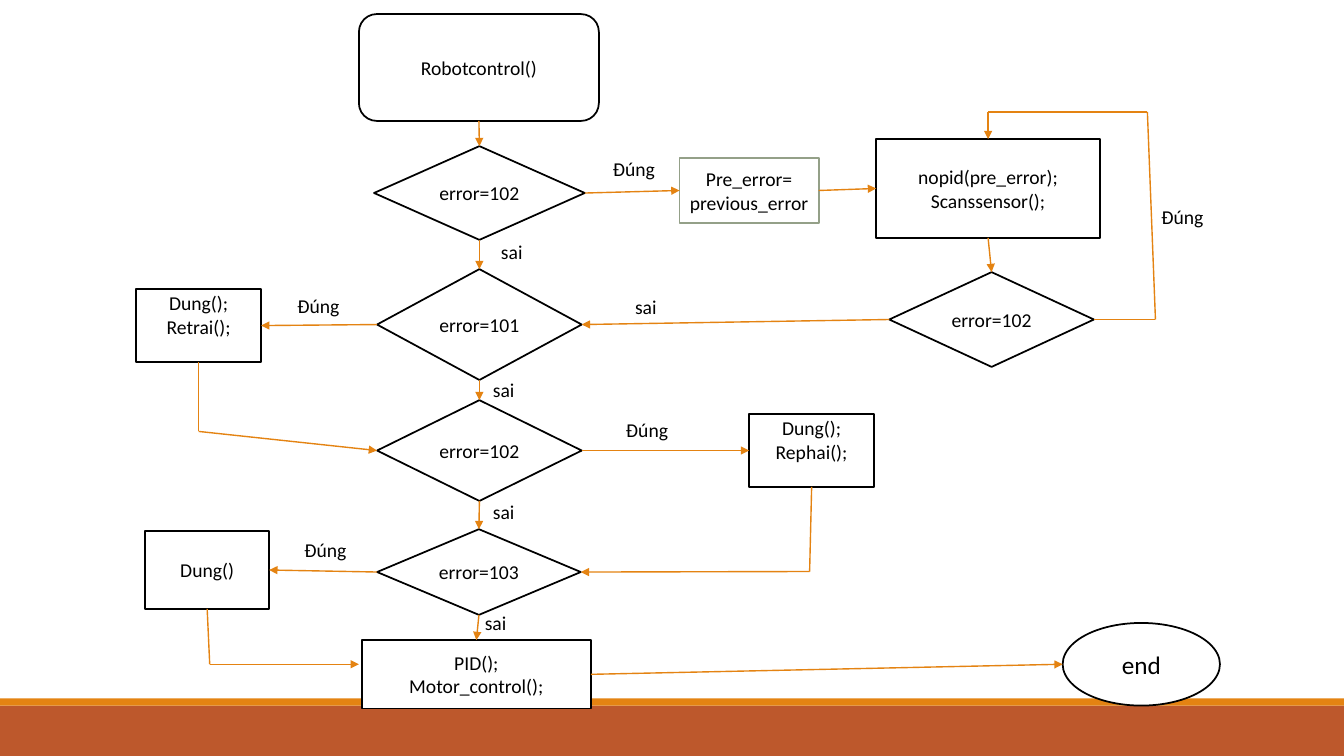
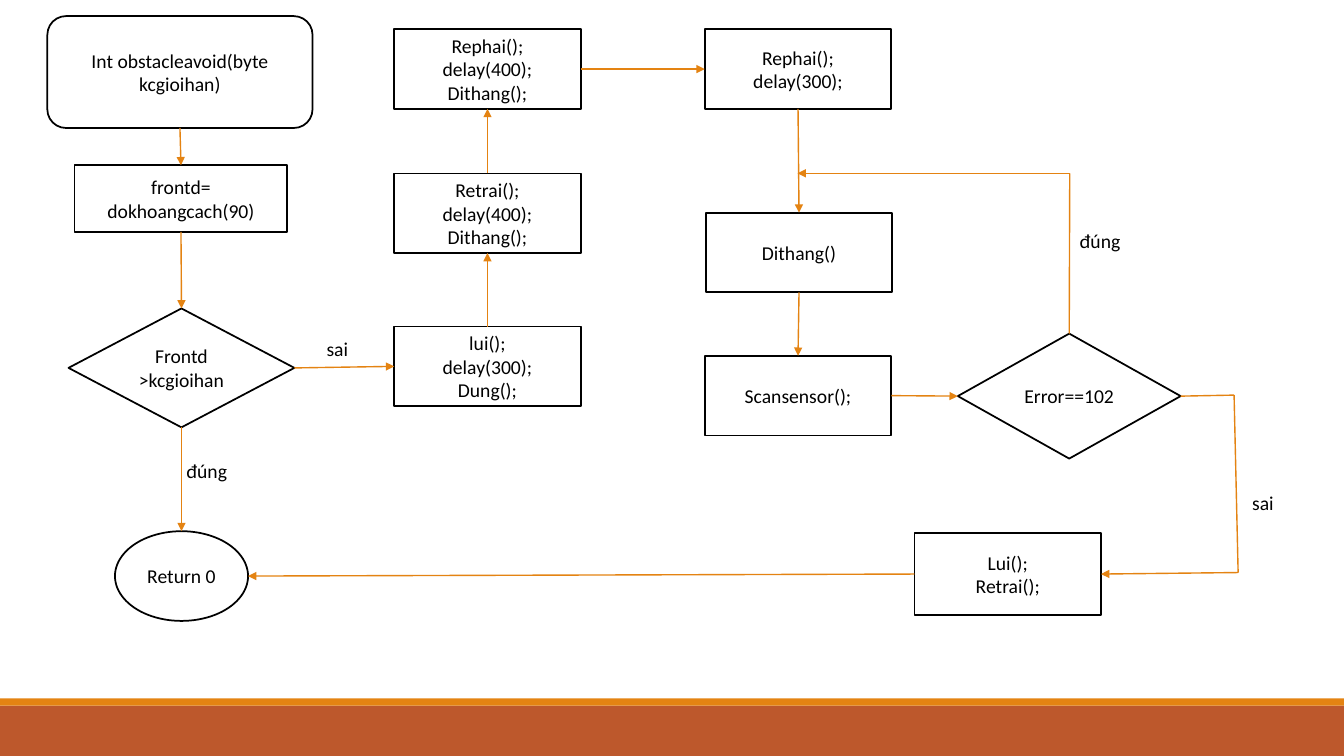
from dataclasses import dataclass
from enum import IntEnum
from itertools import pairwise
from typing import NamedTuple

from lxml.etree import SubElement
from pptx import Presentation
from pptx.dml.color import RGBColor
from pptx.enum.shapes import MSO_CONNECTOR, MSO_SHAPE as Kind
from pptx.enum.text import MSO_ANCHOR as Anchor, MSO_AUTO_SIZE, PP_ALIGN
from pptx.oxml.ns import qn
from pptx.util import Inches, Pt

SLIDE_WIDTH = Inches(13.33)
SLIDE_HEIGHT = Inches(7.5)
ROWS = 75
CELL = SLIDE_HEIGHT / ROWS
COLUMNS = SLIDE_WIDTH / CELL

BLACK = RGBColor(0x00, 0x00, 0x00)
WHITE = RGBColor(0xFF, 0xFF, 0xFF)
ORANGE = RGBColor(0xE4, 0x83, 0x12)
RUST = RGBColor(0xBD, 0x58, 0x2C)
SAGE = RGBColor(0x94, 0xA0, 0x88)
FONT = "Calibri"
TEXT_SIZE = 14


class Side(IntEnum):
    TOP = 0
    LEFT = 1
    BOTTOM = 2
    RIGHT = 3


class Point(NamedTuple):
    column: float
    row: float


class Port(NamedTuple):
    node: str
    side: Side


class Label(NamedTuple):
    text: str
    column: float
    row: float
    columns: float = 7.9


class Band(NamedTuple):
    row: float
    rows: float
    color: RGBColor


@dataclass(frozen=True)
class Node:
    kind: Kind
    text: str
    column: float
    row: float
    columns: float = 18.5
    rows: float = 7.9
    outline: RGBColor = BLACK
    size: int = TEXT_SIZE
    anchor: Anchor = Anchor.MIDDLE

    def site(self, side: Side) -> Point:
        middle = self.column + self.columns / 2
        center = self.row + self.rows / 2
        return {
            Side.TOP: Point(middle, self.row),
            Side.LEFT: Point(self.column, center),
            Side.BOTTOM: Point(middle, self.row + self.rows),
            Side.RIGHT: Point(self.column + self.columns, center),
        }[side]


Route = tuple[Port | Point, ...]


@dataclass(frozen=True)
class Flowchart:
    nodes: dict[str, Node]
    routes: tuple[Route, ...]
    labels: tuple[Label, ...]


BANDS = (Band(70, 5, RUST), Band(69.3, 0.7, ORANGE))

ROBOT_CONTROL = Flowchart(
    nodes={
        "start": Node(Kind.ROUNDED_RECTANGLE, "Robotcontrol()", 35.6, 1.4, 23.8, 10.6),
        "lost": Node(Kind.DIAMOND, "error=102", 37.1, 14.5, 20.9, 9.3),
        "previous": Node(Kind.RECTANGLE, "Pre_error=\nprevious_error", 67.4, 15.7, 13.8, 6.4, SAGE),
        "scan": Node(Kind.RECTANGLE, "nopid(pre_error);\nScanssensor();", 86.9, 13.8, 22.2, 9.8),
        "still lost": Node(Kind.DIAMOND, "error=102", 88.2, 27, 20.3, 9.4),
        "left": Node(Kind.DIAMOND, "error=101", 37.4, 26.7, 20.3, 11),
        "turn left": Node(Kind.RECTANGLE, "Dung();\nRetrai();", 13.5, 28.7, 12.4, 7.2, anchor=Anchor.TOP),
        "right": Node(Kind.DIAMOND, "error=102", 37.4, 39.7, 20.3, 10),
        "turn right": Node(Kind.RECTANGLE, "Dung();\nRephai();", 74.3, 41.1, 12.4, 7.2, anchor=Anchor.TOP),
        "stopped": Node(Kind.DIAMOND, "error=103", 37.4, 52.5, 20.2, 8.5),
        "stop": Node(Kind.RECTANGLE, "Dung()", 14.4, 52.7, 12.3, 7.7),
        "drive": Node(Kind.RECTANGLE, "PID();\nMotor_control();", 35.9, 63.5, 22.7, 6.8),
        "end": Node(Kind.OVAL, "end", 105.4, 61.8, 15.6, 8.2, size=18),
    },
    routes=(
        (Port("start", Side.BOTTOM), Port("lost", Side.TOP)),
        (Port("lost", Side.RIGHT), Port("previous", Side.LEFT)),
        (Port("previous", Side.RIGHT), Port("scan", Side.LEFT)),
        (Port("scan", Side.BOTTOM), Port("still lost", Side.TOP)),
        (Port("still lost", Side.RIGHT), Point(114.6, 31.7), Point(113.8, 11.1),
         Point(98, 11.1), Port("scan", Side.TOP)),
        (Port("still lost", Side.LEFT), Port("left", Side.RIGHT)),
        (Port("lost", Side.BOTTOM), Port("left", Side.TOP)),
        (Port("left", Side.LEFT), Port("turn left", Side.RIGHT)),
        (Port("turn left", Side.BOTTOM), Point(19.7, 42.8), Port("right", Side.LEFT)),
        (Port("left", Side.BOTTOM), Port("right", Side.TOP)),
        (Port("right", Side.RIGHT), Port("turn right", Side.LEFT)),
        (Port("turn right", Side.BOTTOM), Point(80.3, 56.7), Port("stopped", Side.RIGHT)),
        (Port("right", Side.BOTTOM), Port("stopped", Side.TOP)),
        (Port("stopped", Side.LEFT), Port("stop", Side.RIGHT)),
        (Port("stop", Side.BOTTOM), Point(20.8, 65.9), Point(35.6, 65.9)),
        (Port("stopped", Side.BOTTOM), Port("drive", Side.TOP)),
        (Port("drive", Side.RIGHT), Port("end", Side.LEFT)),
    ),
    labels=(
        Label("Đúng", 59.8, 15.1),
        Label("Đúng", 114.2, 19.8, 8.7),
        Label("sai", 62, 28.8),
        Label("sai", 48.7, 23.3),
        Label("Đúng", 28.5, 28.7),
        Label("sai", 47.9, 37),
        Label("Đúng", 61.1, 41),
        Label("sai", 47.9, 49.1),
        Label("Đúng", 29.2, 52.9),
        Label("sai", 47.1, 60.1),
    ),
)

OBSTACLE_AVOIDANCE = Flowchart(
    nodes={
        "start": Node(Kind.ROUNDED_RECTANGLE, "Int obstacleavoid(byte kcgioihan)", 4.7, 1.6, 26.3, 11.1),
        "measure": Node(Kind.RECTANGLE, "frontd=\ndokhoangcach(90)", 7.4, 16.4, 21.1, 6.6),
        "clear": Node(Kind.DIAMOND, "Frontd\n>kcgioihan", 6.8, 30.6, 22.4, 11.8),
        "return": Node(Kind.OVAL, "Return 0", 11.4, 52.7, 13.2, 8.9),
        "reverse": Node(Kind.RECTANGLE, "lui();\ndelay(300);\nDung();", 39.1, 32.4),
        "turn left": Node(Kind.RECTANGLE, "Retrai();\ndelay(400);\nDithang();", 39.1, 17.2),
        "turn right": Node(Kind.RECTANGLE, "Rephai();\ndelay(400);\nDithang();", 39.1, 2.9),
        "turn back": Node(Kind.RECTANGLE, "Rephai();\ndelay(300);", 69.9, 2.9),
        "forward": Node(Kind.RECTANGLE, "Dithang()", 70, 21.1),
        "scan": Node(Kind.RECTANGLE, "Scansensor();", 69.9, 35.3),
        "no line": Node(Kind.DIAMOND, "Error==102", 95, 33.1, 22.1, 12.4),
        "rejoin": Node(Kind.RECTANGLE, "Lui();\nRetrai();", 90.7, 52.9, rows=8.1),
    },
    routes=(
        (Port("start", Side.BOTTOM), Port("measure", Side.TOP)),
        (Port("measure", Side.BOTTOM), Port("clear", Side.TOP)),
        (Port("clear", Side.BOTTOM), Port("return", Side.TOP)),
        (Port("clear", Side.RIGHT), Port("reverse", Side.LEFT)),
        (Port("reverse", Side.TOP), Port("turn left", Side.BOTTOM)),
        (Port("turn left", Side.TOP), Port("turn right", Side.BOTTOM)),
        (Port("turn right", Side.RIGHT), Port("turn back", Side.LEFT)),
        (Port("turn back", Side.BOTTOM), Port("forward", Side.TOP)),
        (Port("forward", Side.BOTTOM), Port("scan", Side.TOP)),
        (Port("scan", Side.RIGHT), Port("no line", Side.LEFT)),
        (Port("no line", Side.TOP), Point(106.1, 17.2), Point(79.1, 17.2)),
        (Port("no line", Side.RIGHT), Point(122.4, 39.2), Point(122.8, 56.8),
         Port("rejoin", Side.RIGHT)),
        (Port("rejoin", Side.LEFT), Port("return", Side.RIGHT)),
    ),
    labels=(
        Label("sai", 31.4, 32.9, 4.8),
        Label("đúng", 17.5, 45, 6.1),
        Label("đúng", 106.1, 22.2, 6.1),
        Label("sai", 123.2, 48.2, 4.8),
    ),
)


def cells(*counts: float) -> tuple[int, ...]:
    return tuple(round(count * CELL) for count in counts)


def write_text(shape, text: str, size: int, alignment: PP_ALIGN) -> None:
    frame = shape.text_frame
    frame.text = text
    frame.word_wrap = True
    for paragraph in frame.paragraphs:
        paragraph.alignment = alignment
        for run in paragraph.runs:
            run.font.name = FONT
            run.font.size = Pt(size)
            run.font.color.rgb = BLACK


def add_bands(slide) -> None:
    layout = slide.slide_layout
    for placeholder in list(layout.placeholders):
        layout.shapes.element.remove(placeholder.element)
    for band in BANDS:
        shape = slide.shapes.add_shape(Kind.RECTANGLE, *cells(0, band.row, COLUMNS, band.rows))
        shape.shadow.inherit = False
        shape.fill.solid()
        shape.fill.fore_color.rgb = band.color
        shape.line.fill.background()
        layout.shapes.element.append(shape.element)


def add_node(slide, node: Node):
    shape = slide.shapes.add_shape(node.kind, *cells(node.column, node.row, node.columns, node.rows))
    shape.shadow.inherit = False
    shape.fill.solid()
    shape.fill.fore_color.rgb = WHITE
    shape.line.color.rgb = node.outline
    shape.line.width = Pt(1.25)
    write_text(shape, node.text, node.size, PP_ALIGN.CENTER)
    frame = shape.text_frame
    frame.vertical_anchor = node.anchor
    frame.margin_left = frame.margin_right = Inches(0.05)
    if node.anchor == Anchor.TOP:
        frame.margin_top = Inches(0.02)
    return shape


def add_label(slide, label: Label) -> None:
    box = slide.shapes.add_textbox(*cells(label.column, label.row, label.columns, 3.4))
    write_text(box, label.text, TEXT_SIZE, PP_ALIGN.LEFT)
    box.text_frame.auto_size = MSO_AUTO_SIZE.SHAPE_TO_FIT_TEXT


def add_segment(slide, begin: Point, end: Point, arrow: bool):
    connector = slide.shapes.add_connector(MSO_CONNECTOR.STRAIGHT, *cells(*begin, *end))
    connector.line.color.rgb = ORANGE
    connector.line.width = Pt(1)
    properties = connector.element.spPr
    if arrow:
        SubElement(properties.find(qn("a:ln")), qn("a:tailEnd"), type="triangle")
    SubElement(properties, qn("a:effectLst"))
    return connector


def add_route(slide, route: Route, chart: Flowchart, shapes: dict) -> None:
    def locate(stop: Port | Point) -> Point:
        return chart.nodes[stop.node].site(stop.side) if isinstance(stop, Port) else stop

    def can_glue(stop: Port | Point) -> bool:
        return isinstance(stop, Port) and chart.nodes[stop.node].kind != Kind.OVAL

    last = len(route) - 2
    for index, (begin, end) in enumerate(pairwise(route)):
        connector = add_segment(slide, locate(begin), locate(end), index == last)
        if can_glue(begin):
            connector.begin_connect(shapes[begin.node], int(begin.side))
        if can_glue(end):
            connector.end_connect(shapes[end.node], int(end.side))


def draw_flowchart(slide, chart: Flowchart) -> None:
    shapes = {name: add_node(slide, node) for name, node in chart.nodes.items()}
    for route in chart.routes:
        add_route(slide, route, chart, shapes)
    for label in chart.labels:
        add_label(slide, label)


def main() -> None:
    presentation = Presentation()
    presentation.slide_width = SLIDE_WIDTH
    presentation.slide_height = SLIDE_HEIGHT
    blank_layout = presentation.slide_layouts[6]
    slides = [presentation.slides.add_slide(blank_layout) for _ in range(2)]
    add_bands(slides[0])
    for slide, chart in zip(slides, (ROBOT_CONTROL, OBSTACLE_AVOIDANCE)):
        draw_flowchart(slide, chart)
    presentation.save("out.pptx")


if __name__ == "__main__":
    main()
